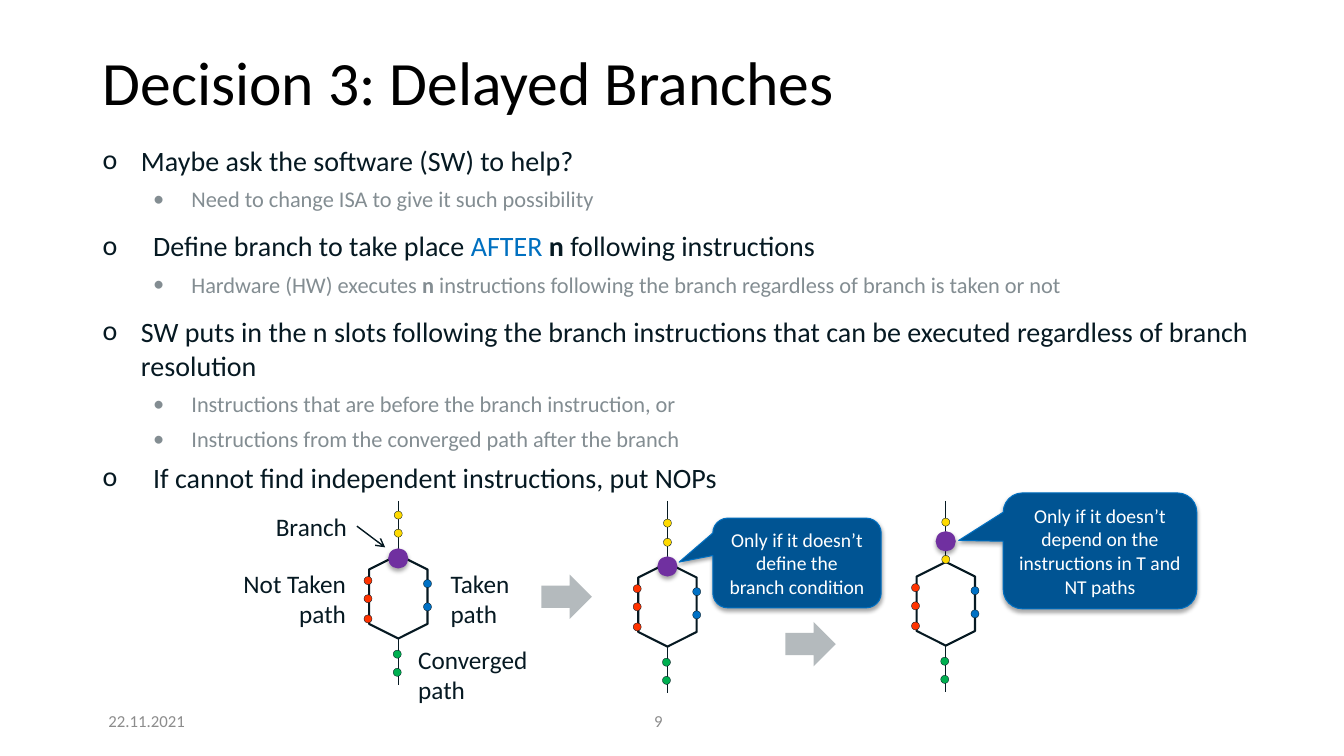
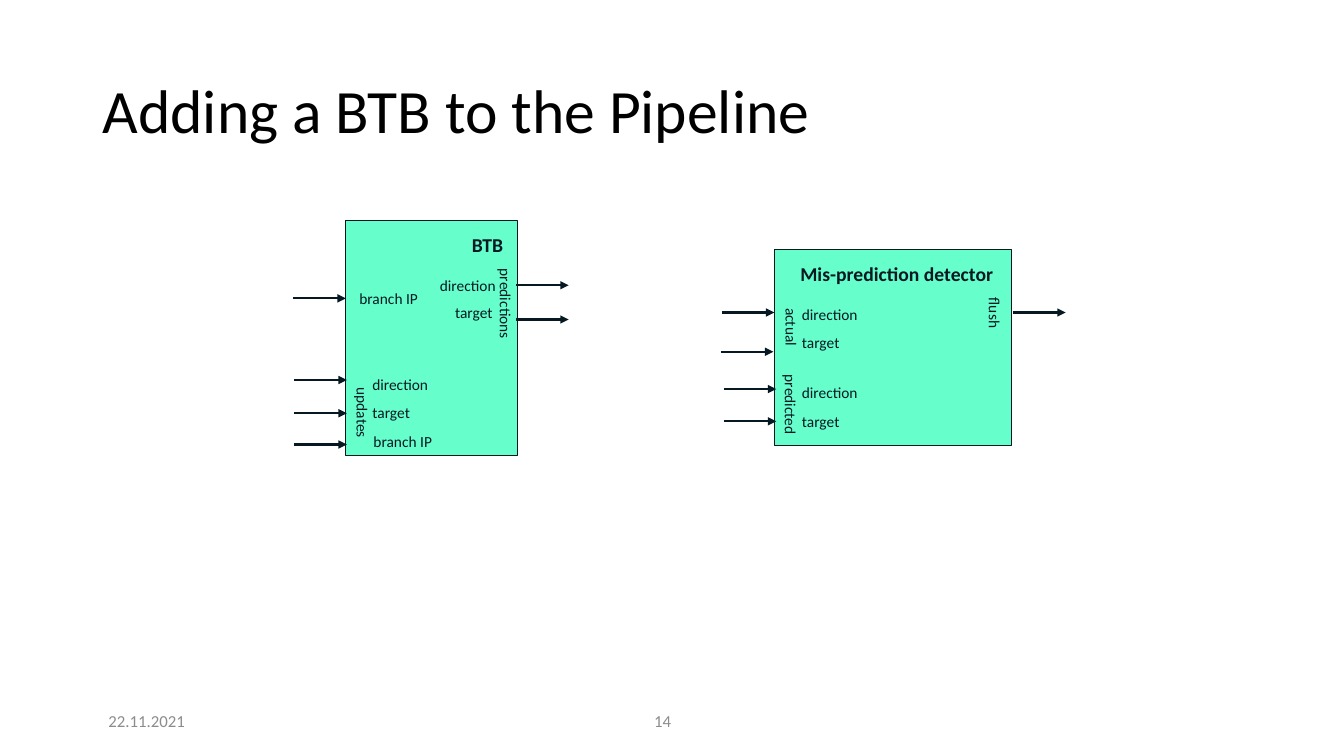
from lxml import etree
from pptx import Presentation
from pptx.dml.color import RGBColor
from pptx.enum import shapes as sh, text as tx
from pptx.oxml import ns
from pptx.util import Inches, Pt

FONT = "Calibri"
INK = RGBColor(0x06, 0x19, 0x22)
BLACK = RGBColor(0, 0, 0)
WHITE = RGBColor(255, 255, 255)
MUTED = RGBColor(0x83, 0x8D, 0x92)
FOOT = RGBColor(0x8C, 0x8C, 0x8C)
MINT = RGBColor(0x66, 0xFF, 0xCC)
AZURE = RGBColor(0x00, 0x70, 0xC0)
NAVY = RGBColor(0x00, 0x54, 0x93)
EDGE = RGBColor(0x00, 0x6F, 0xC1)
SILVER = RGBColor(0xB4, 0xBA, 0xBD)
PURPLE = RGBColor(0x70, 0x30, 0xA0)
YELLOW = RGBColor(0xFF, 0xDA, 0x00)
RED = RGBColor(0xFF, 0x33, 0x00)
BLUE = RGBColor(0x00, 0x71, 0xC5)
GREEN = RGBColor(0x00, 0xB0, 0x50)

LEFT, MID, RIGHT = tx.PP_ALIGN.LEFT, tx.PP_ALIGN.CENTER, tx.PP_ALIGN.RIGHT
KIND = sh.MSO_SHAPE
DATE = "22.11.2021"

# Level, text indent, space before, runs
POINTS = [
    (0, 0.38, 0, ["Maybe ask the software (SW) to help?"]),
    (1, 0.88, 6, ["Need to change ISA to give it such possibility"]),
    (0, 0.5, 12, ["Define branch to take place ", ("AFTER ", {"color": AZURE}),
                  ("n", {"bold": True}), " following instructions"]),
    (1, 0.88, 6, ["Hardware (HW) executes ", ("n", {"bold": True}),
                  " instructions following the branch regardless of branch is taken or not"]),
    (0, 0.38, 12, ["SW puts in the n slots following the branch instructions that can be "
                   "executed regardless of branch resolution"]),
    (1, 0.88, 6, ["Instructions that are before the branch instruction, or"]),
    (1, 0.88, 6, ["Instructions from the converged path after the branch"]),
    (0, 0.5, 6, ["If cannot find independent instructions, put NOPs"]),
]
# Size, colour, hanging indent (None: whole indent), bullet for each level
LEVELS = [(20, INK, None, "o"), (16, MUTED, 0.38, "•")]

# Hexagon centre, then branch node and yellow dots relative to it
GRAPHS = [
    (3.95, 5.92, -0.38, (-0.63, -0.81)),
    (6.62, 6.0, -0.38, (-0.62, -0.81)),
    (9.38, 5.99, -0.62, (-0.44, -0.81)),
]
PATHS = [
    (RED, -0.3, (0.22, 0.02, -0.16)),
    (BLUE, 0.29, (0.1, -0.13)),
    (GREEN, -0.01, (0.75, 0.57)),
]
NAMES = [
    ("Not Taken path", (2.2, 5.59, 1.33, 0.71), RIGHT),
    ("Taken path", (4.37, 5.59, 1, 0.71), LEFT),
    ("Converged path", (4.05, 6.34, 1.4, 0.71), LEFT),
    ("Branch", (2.54, 5.02, 1, 0.4), RIGHT),
]
CALLS = [
    ("Only if it doesn’t depend on the instructions in T and NT paths",
     (9.95, 4.89, 1.92, 1.15), (-0.73, -0.09)),
    ("Only if it doesn’t define the branch condition",
     (7.07, 5.14, 1.67, 0.89), (-0.7, -0.01)),
]
STEPS = [(5.37, 5.7), (7.79, 6.17)]

WIDTH = {"direction": 0.76, "target": 0.58, "branch IP": 0.79}
BLOCKS = [
    {"box": (7.68, 2.48, 2.35, 1.94),
     "head": ("Mis-prediction detector", (7.83, 2.55, 2.13, 0.34)),
     "pins": [("direction", 7.85, 2.98), ("target", 7.85, 3.26),
              ("direction", 7.85, 3.75), ("target", 7.85, 4.04)],
     "sides": [("predicted", 7.44, 3.87, 0.8), ("flush", 9.38, 2.96, 0.97),
               ("actual", 7.56, 3.1, 0.58)],
     "wires": [(7.16, 3.1), (7.15, 3.49), (7.18, 3.86), (7.18, 4.18), (10.05, 3.1)]},
    {"box": (3.43, 2.19, 1.7, 2.33),
     "head": ("BTB", (4.58, 2.26, 0.51, 0.34)),
     "pins": [("branch IP", 3.46, 2.82), ("direction", 4.26, 2.69), ("target", 4.41, 2.96),
              ("direction", 3.59, 3.67), ("target", 3.59, 3.95), ("branch IP", 3.6, 4.24)],
     "sides": [("updates", 3.24, 3.95, 0.71), ("predictions", 4.53, 2.87, 0.97)],
     "wires": [(2.91, 2.96), (2.92, 3.77), (2.92, 4.1), (2.92, 4.41),
               (5.12, 2.83), (5.12, 3.17)]},
]


def node(parent, tag, **attrs):
    part = etree.SubElement(parent, ns.qn(tag))
    for key, val in attrs.items():
        part.set(key, str(val))
    return part


def write(para, runs, size=18, color=INK, bold=False, align=LEFT):
    """Fill a paragraph; a run is a string or a pair of string and changes."""
    para.alignment = align
    for item in [runs] if isinstance(runs, str) else runs:
        words, diff = (item, {}) if isinstance(item, str) else item
        run = para.add_run()
        run.text = words
        run.font.name = FONT
        run.font.size = Pt(size)
        run.font.bold = diff.get("bold", bold)
        run.font.color.rgb = diff.get("color", color)


def label(slide, words, box, wrap=True, middle=False, turn=0, **fmt):
    part = slide.shapes.add_textbox(*map(Inches, box))
    part.rotation = turn
    frame = part.text_frame
    frame.word_wrap = wrap
    frame.vertical_anchor = tx.MSO_ANCHOR.MIDDLE if middle else tx.MSO_ANCHOR.TOP
    write(frame.paragraphs[0], words, **fmt)
    return part


def draw(slide, kind, box, fill=None, line=None, width=1.0, glow=False):
    """Add a preset shape; glow gives it a soft shadow below."""
    part = slide.shapes.add_shape(kind, *map(Inches, box))
    part.shadow.inherit = False
    if fill is None:
        part.fill.background()
    else:
        part.fill.solid()
        part.fill.fore_color.rgb = fill
    if line is None:
        part.line.fill.background()
    else:
        part.line.color.rgb = line
        part.line.width = Pt(width)
    if glow:
        fx = part._element.spPr.find(ns.qn("a:effectLst"))
        cast = node(fx, "a:outerShdw", blurRad=Pt(3.1), dist=Pt(1.8),
                    dir=90 * 60000, rotWithShape=0)
        node(node(cast, "a:srgbClr", val="000000"), "a:alpha", val=35000)
    return part


def link(slide, start, end, width=1.0, tip=None):
    part = slide.shapes.add_connector(sh.MSO_CONNECTOR.STRAIGHT,
                                      *map(Inches, (*start, *end)))
    part.line.color.rgb = INK
    part.line.width = Pt(width)
    if tip:
        node(part.line._get_or_add_ln(), "a:tailEnd", type=tip)
    node(part._element.spPr, "a:effectLst")


def disc(slide, x, y, size, **fmt):
    draw(slide, KIND.OVAL, (x - size / 2, y - size / 2, size, size), **fmt)


def page(deck, title, number, height):
    slide = deck.slides.add_slide(deck.slide_layouts[6])
    head = label(slide, title, (0.92, 0.4, 11.5, height), middle=True, size=44, color=BLACK)
    head.text_frame.paragraphs[0].line_spacing = 0.9
    label(slide, number, (6.39, 6.95, 0.79, 0.4), middle=True, size=12, color=FOOT)
    label(slide, DATE, (0.92, 6.95, 1.07, 0.4), middle=True, size=12, color=FOOT, align=MID)
    return slide


def bullets(slide, box):
    frame = slide.shapes.add_textbox(*map(Inches, box)).text_frame
    frame.word_wrap = True
    for pos, (level, left, gap, runs) in enumerate(POINTS):
        size, color, hang, mark = LEVELS[level]
        para = frame.add_paragraph() if pos else frame.paragraphs[0]
        para.level = level
        para.space_before = Pt(gap)
        props = para._p.get_or_add_pPr()
        props.set("marL", str(Inches(left)))
        props.set("indent", str(-Inches(hang or left)))
        node(props, "a:buFont", typeface=FONT)
        node(props, "a:buChar", char=mark)
        write(para, runs, size=size, color=color)


def graph(slide, x, y, branch, before):
    """Draw a branch that splits into two paths and converges."""
    tall, wide = 0.83, 0.58
    link(slide, (x, 4.97), (x, y - tall / 2))
    link(slide, (x, y + tall / 2), (x, y + 0.88))
    ring = draw(slide, KIND.HEXAGON, (x - tall / 2, y - wide / 2, tall, wide),
                line=INK, width=1.5)
    ring.rotation = 90
    for color, dx, rows in [(YELLOW, 0, before)] + PATHS:
        for dy in rows:
            disc(slide, x + dx, y + dy, 0.08, fill=color, line=INK, width=0.25)
    disc(slide, x, y + branch, 0.2, fill=PURPLE, glow=True)


def block(slide, box, head, pins, sides, wires):
    draw(slide, KIND.RECTANGLE, box, fill=MINT, line=INK, width=0.75)
    label(slide, *head, wrap=False, size=14, bold=True, align=MID)
    for x, y in wires:
        link(slide, (x, y), (x + 0.52, y), width=1.5, tip="triangle")
    small = {"wrap": False, "size": 11, "align": MID}
    for words, x, y in pins:
        label(slide, words, (x, y, WIDTH[words], 0.29), **small)
    for words, x, y, long in sides:
        label(slide, words, (x, y, long, 0.29), turn=90, **small)


def delayed(deck):
    slide = page(deck, "Decision 3: Delayed Branches", "9", 0.89)
    bullets(slide, (0.92, 1.37, 11.58, 3.62))
    for spot in GRAPHS:
        graph(slide, *spot)
    for words, box, align in NAMES:
        label(slide, words, box, align=align)
    link(slide, (3.54, 5.22), (3.82, 5.43), tip="arrow")
    for words, box, tip in CALLS:
        part = draw(slide, KIND.ROUNDED_RECTANGULAR_CALLOUT, box, fill=NAVY,
                    line=EDGE, width=0.75, glow=True)
        part.adjustments[0], part.adjustments[1] = tip
        frame = part.text_frame
        frame.word_wrap = True
        frame.vertical_anchor = tx.MSO_ANCHOR.MIDDLE
        write(frame.paragraphs[0], words, size=14, color=WHITE, align=MID)
    for spot in STEPS:
        draw(slide, KIND.RIGHT_ARROW, (*spot, 0.5, 0.44), fill=SILVER)


def buffer(deck):
    slide = page(deck, "Adding a BTB to the Pipeline", "14", 1.45)
    for item in BLOCKS:
        block(slide, **item)


def main():
    deck = Presentation()
    deck.slide_width, deck.slide_height = Inches(13.33), Inches(7.5)
    delayed(deck)
    buffer(deck)
    deck.save("out.pptx")


if __name__ == "__main__":
    main()
